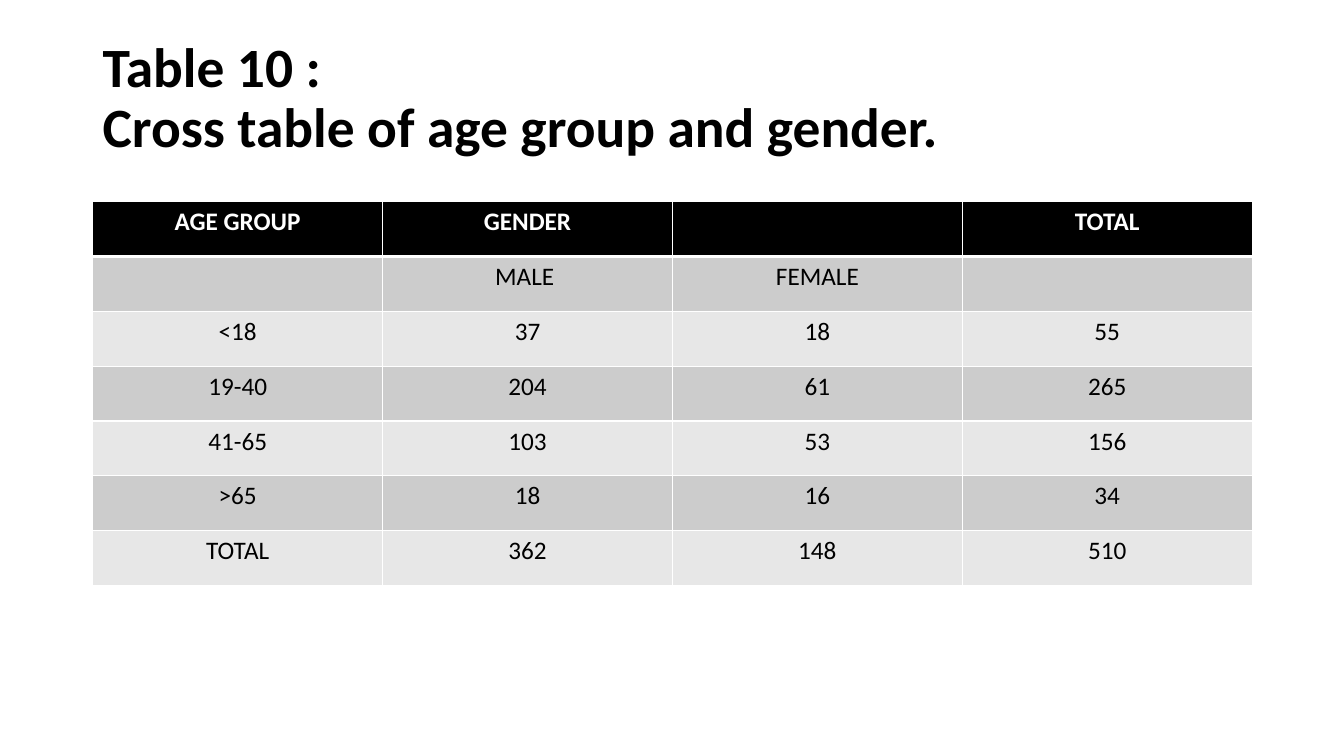
from lxml.etree import SubElement
from pptx import Presentation
from pptx.dml.color import RGBColor
from pptx.enum.text import MSO_ANCHOR as Anchor, PP_ALIGN as Align
from pptx.oxml.ns import qn
from pptx.util import Inches, Pt

WIDTH, HEIGHT = Inches(13.33), Inches(7.5)
MARGIN = Inches(0.92)
BLACK, WHITE = "000000", "FFFFFF"
BANDS = ("E7E7E7", "CCCCCC")
TITLE = "Table 10 :\nCross table of age group and gender."
ROWS = [
    ("AGE GROUP", "GENDER", "", "TOTAL"),
    ("", "MALE ", "FEMALE", ""),
    ("<18", "37", "18", "55"),
    ("19-40", "204", "61", "265"),
    ("41-65", "103", "53", "156"),
    (">65", "18", "16", "34"),
    ("TOTAL", "362", "148", "510"),
]


def colour(value):
    return RGBColor.from_string(value)


def write(frame, text, size=18, bold=False, shade=BLACK, align=Align.LEFT, spacing=1.0):
    para = frame.paragraphs[0]
    para.text = text
    para.alignment = align
    para.line_spacing = spacing
    for span in para.runs:
        span.font.name = "Calibri"
        span.font.size = Pt(size)
        span.font.bold = bold
        span.font.color.rgb = colour(shade)


def add_title(page, text):
    box = page.shapes.add_textbox(MARGIN, Inches(0.4), Inches(10.07), Inches(1.18))
    box.text_frame.word_wrap = True
    box.text_frame.vertical_anchor = Anchor.MIDDLE
    write(box.text_frame, text, size=39.6, bold=True, spacing=0.9)


def set_borders(cell, top=1, bottom=1):
    """Draw white borders; widths are in points."""
    properties = cell._tc.get_or_add_tcPr()
    for side, width in (("L", 1), ("R", 1), ("T", top), ("B", bottom)):
        line = SubElement(properties, qn(f"a:ln{side}"), w=str(Pt(width)))
        fill = SubElement(line, qn("a:solidFill"))
        SubElement(fill, qn("a:srgbClr"), val=WHITE)


def add_cross_table(page, rows):
    frame = page.shapes.add_table(len(rows), len(rows[0]), MARGIN, Inches(2),
                                  Inches(11.5), Inches(3.81))
    for row, values in enumerate(rows):
        header = row == 0
        for column, value in enumerate(values):
            cell = frame.table.cell(row, column)
            set_borders(cell, top=3 if row == 1 else 1, bottom=3 if header else 1)
            cell.fill.solid()
            cell.fill.fore_color.rgb = colour(BLACK if header else BANDS[row % 2])
            write(cell.text_frame, value, bold=header, align=Align.CENTER,
                  shade=WHITE if header else BLACK)


def main():
    deck = Presentation()
    deck.slide_width, deck.slide_height = WIDTH, HEIGHT
    page = deck.slides.add_slide(deck.slide_layouts[6])
    add_title(page, TITLE)
    add_cross_table(page, ROWS)
    deck.save("out.pptx")


if __name__ == "__main__":
    main()
